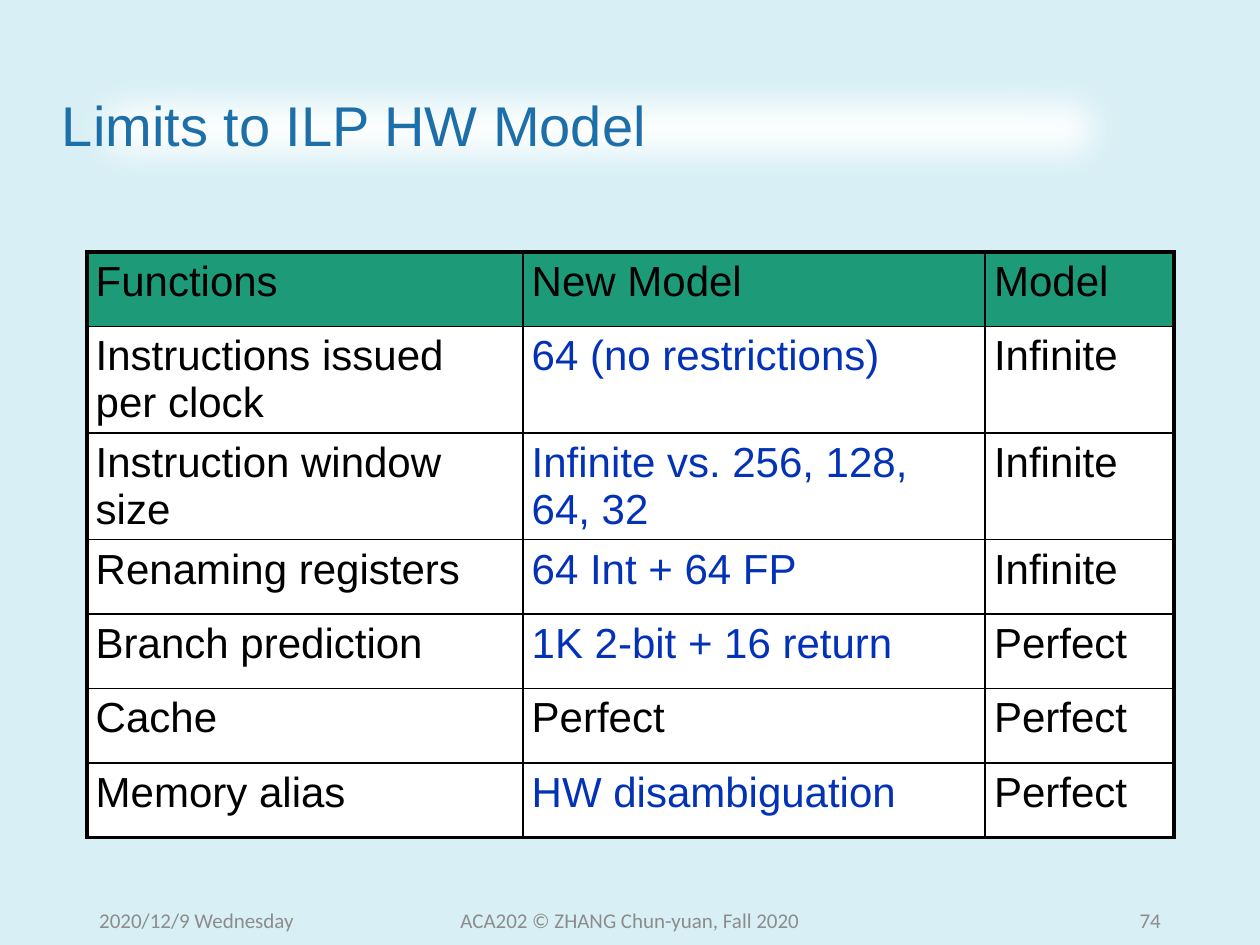
from lxml.etree import SubElement
from pptx import Presentation
from pptx.dml.color import RGBColor as RGB
from pptx.enum.shapes import MSO_SHAPE as SHAPE
from pptx.enum.text import MSO_ANCHOR as ANCHOR, PP_ALIGN as ALIGN
from pptx.oxml.ns import qn
from pptx.util import Cm, Pt

COLORS = {
    "background": "D7EFF5", "white": "FFFFFF", "title": "1D6FA9",
    "header": "1D9A78", "black": "000000", "blue": "0332B7", "footer": "8C8C8C",
}


def set_font(p, name, size, color):
    p.font.name = name
    p.font.size = Pt(size)
    p.font.color.rgb = RGB.from_string(COLORS[color])


def add_border(cell, side, width):
    ln = SubElement(cell._tc.get_or_add_tcPr(), qn(f"a:ln{side}"), w=str(Pt(width)))
    fill = SubElement(ln, qn("a:solidFill"))
    SubElement(fill, qn("a:srgbClr"), val=COLORS["black"])


prs = Presentation()
prs.slide_width, prs.slide_height = Cm(25.4), Cm(19.05)
s = prs.slides.add_slide(prs.slide_layouts[6])
s.background.fill.solid()
s.background.fill.fore_color.rgb = RGB.from_string(COLORS["background"])

# Title on a white band with soft edges
sp = s.shapes.add_shape(SHAPE.RECTANGLE, Cm(1), Cm(1.02), Cm(22.07), Cm(3.12))
sp.shadow.inherit = False
sp.fill.solid()
sp.fill.fore_color.rgb = RGB.from_string(COLORS["white"])
sp.line.fill.background()
effects = sp._element.spPr.find(qn("a:effectLst"))
SubElement(effects, qn("a:softEdge"), rad=str(Pt(25)))
tf = sp.text_frame
tf.vertical_anchor = ANCHOR.MIDDLE
p = tf.paragraphs[0]
p.text = "Limits to ILP HW Model"
p.alignment = ALIGN.LEFT
p.line_spacing = 0.9
set_font(p, "Arial", 32, "title")

# Table of model functions
ROWS = [
    ("Functions", "New Model", "Model"),
    ("Instructions issued per clock", "64 (no restrictions)", "Infinite"),
    ("Instruction window size", "Infinite vs. 256, 128, 64, 32", "Infinite"),
    ("Renaming registers", "64 Int + 64 FP", "Infinite"),
    ("Branch prediction", "1K 2-bit + 16 return", "Perfect"),
    ("Cache", "Perfect", "Perfect"),
    ("Memory alias", "HW disambiguation", "Perfect"),
]
WIDTHS = [8.79, 9.32, 3.81]
HEIGHTS = [1.5, 1.96, 1.96, 1.5, 1.5, 1.5, 1.5]
table = s.shapes.add_table(len(ROWS), len(WIDTHS), Cm(1.75), Cm(5.08),
                           Cm(sum(WIDTHS)), Cm(sum(HEIGHTS))).table
table.first_row = table.horz_banding = False
for column, width in zip(table.columns, WIDTHS):
    column.width = Cm(width)
for i, (row, height) in enumerate(zip(ROWS, HEIGHTS)):
    table.rows[i].height = Cm(height)
    for j, text in enumerate(row):
        cell = table.cell(i, j)
        cell.margin_left = cell.margin_right = Cm(0.18)
        cell.margin_top = cell.margin_bottom = Cm(0.13)
        # Thick outer frame, thin inner lines
        outer = {"L": j == 0, "R": j == len(WIDTHS) - 1,
                 "T": i == 0, "B": i == len(ROWS) - 1}
        for side, thick in outer.items():
            add_border(cell, side, 2.25 if thick else 1)
        cell.fill.solid()
        cell.fill.fore_color.rgb = RGB.from_string(COLORS["white" if i else "header"])
        # New-model values that differ from the ideal model are blue
        changed = i > 0 and j == 1 and text != row[2]
        p = cell.text_frame.paragraphs[0]
        p.text = text
        set_font(p, "Arial", 24, "blue" if changed else "black")

# Footer: date, course and page number
FOOTERS = [
    (1.75, 5.72, ALIGN.LEFT, "2020/12/9 Wednesday"),
    (8.41, 8.58, ALIGN.CENTER, "ACA202 © ZHANG Chun-yuan, Fall 2020"),
    (17.93, 5.72, ALIGN.RIGHT, "74"),
]
for left, width, align, text in FOOTERS:
    tf = s.shapes.add_textbox(Cm(left), Cm(18.03), Cm(width), Cm(1.02)).text_frame
    tf.word_wrap = True
    tf.vertical_anchor = ANCHOR.MIDDLE
    p = tf.paragraphs[0]
    p.text = text
    p.alignment = align
    set_font(p, "Calibri", 12, "footer")

prs.save("out.pptx")
